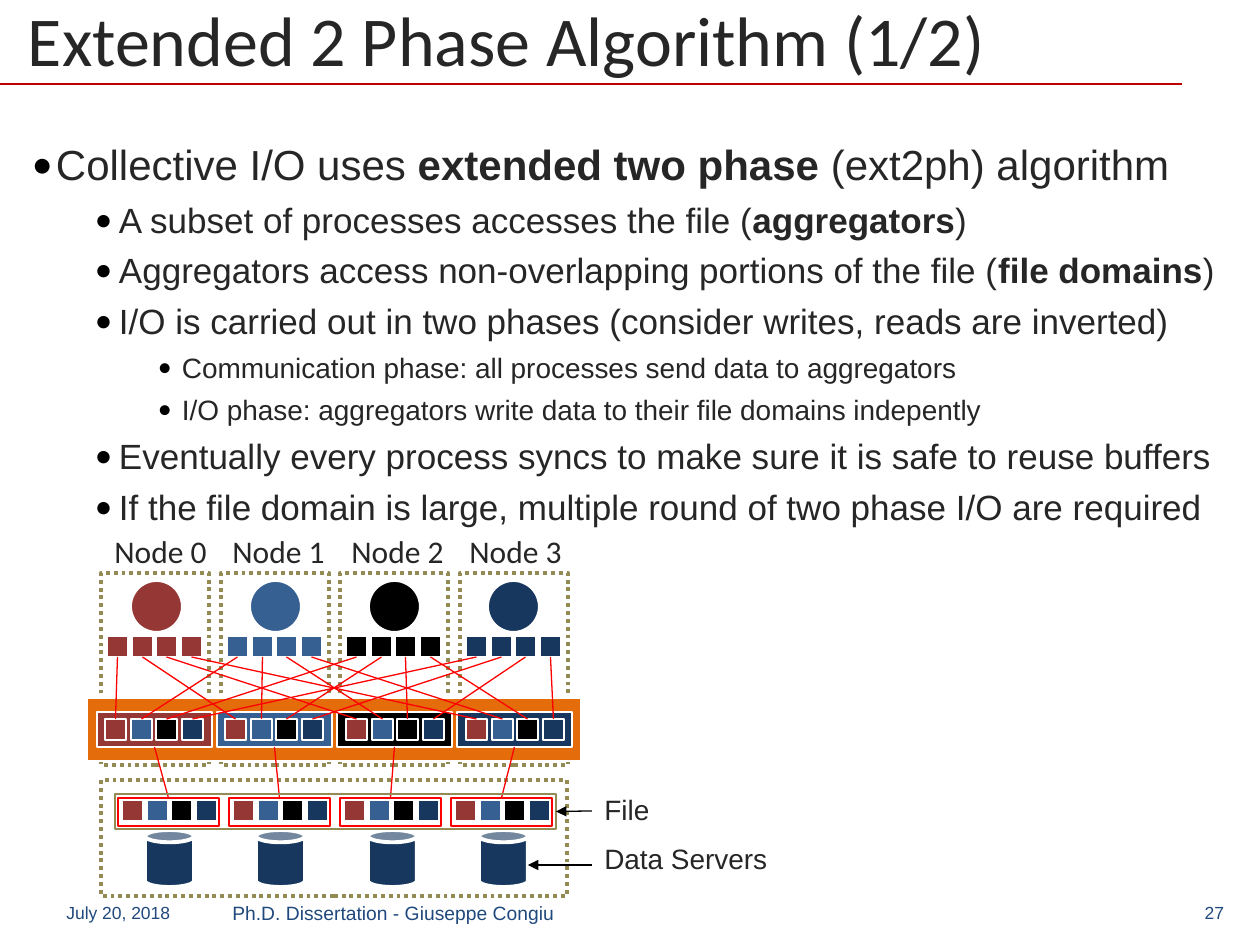
from dataclasses import dataclass

from lxml import etree
from pptx import Presentation
from pptx.dml.color import RGBColor
from pptx.enum.dml import MSO_LINE
from pptx.enum.shapes import MSO_CONNECTOR, MSO_SHAPE
from pptx.enum.text import MSO_ANCHOR, MSO_AUTO_SIZE, PP_ALIGN
from pptx.oxml.ns import qn
from pptx.util import Pt

RECT, OVAL, CAN = MSO_SHAPE.RECTANGLE, MSO_SHAPE.OVAL, MSO_SHAPE.CAN
STRAIGHT = MSO_CONNECTOR.STRAIGHT
DOTTED = MSO_LINE.ROUND_DOT
MIDDLE = MSO_ANCHOR.MIDDLE
GROW = MSO_AUTO_SIZE.SHAPE_TO_FIT_TEXT
RIGHT = PP_ALIGN.RIGHT
TOP_SIDE, BOTTOM_SIDE, RIGHT_SIDE = 0, 2, 3
EMU_PER_PX = 914400 / 126
NODES = 4
CELL = 21


@dataclass(frozen=True)
class Theme:
    ink: str = "262626"
    footer: str = "1F497D"
    rule: str = "C00000"
    frame: str = "948A54"
    band: str = "E46C0A"
    link: str = "FF0000"
    white: str = "FFFFFF"
    black: str = "000000"
    navy: str = "17375E"
    nodes: tuple = ("953735", "376092", "000000", "17375E")
    title_size: int = 40
    level_sizes: tuple = (24, 20, 16)
    node_size: int = 18
    label_size: int = 16
    footer_size: int = 11
    small_size: int = 10
    heading_font: str = "Calibri"
    body_font: str = "Arial"


THEME = Theme()

BULLETS = [
    (0, ["Collective I/O uses ", "extended two phase ", "(ext2ph) algorithm"]),
    (1, ["A subset of processes accesses the file (", "aggregators", ")"]),
    (1, ["Aggregators access non-overlapping portions of the file (", "file domains", ")"]),
    (1, ["I/O is carried out in two phases (consider writes, reads are inverted)"]),
    (2, ["Communication phase: all processes send data to aggregators"]),
    (2, ["I/O phase: aggregators write data to their file domains indepently"]),
    (1, ["Eventually every process syncs to make sure it is safe to reuse buffers"]),
    (1, ["If the file domain is large, multiple round of two phase I/O are required"]),
]


def px(length):
    return round(length * EMU_PER_PX)


def spread(first, last, count=NODES):
    """Whole-pixel positions at equal gaps from first to last."""
    return [round(first + (last - first) * i / (count - 1)) for i in range(count)]


@dataclass(frozen=True)
class Box:
    left: int
    top: int
    width: int
    height: int

    def inside(self, left, top, width, height):
        return Box(self.left + left, self.top + top, width, height)

    def emu(self):
        return [px(n) for n in (self.left, self.top, self.width, self.height)]


def set_all(target, values):
    for name, value in values.items():
        setattr(target, name, value)


def style_font(font, size, color=THEME.ink, name=THEME.body_font, bold=False):
    set_all(font, {"size": Pt(size), "name": name, "bold": bold})
    font.color.rgb = RGBColor.from_string(color)


def style_line(line, color, weight):
    line.color.rgb = RGBColor.from_string(color)
    line.width = Pt(weight)


def add_outline(page, kind, box, color, weight, fill=None, dash=None):
    shape = page.shapes.add_shape(kind, *box.emu())
    shape.shadow.inherit = False
    if fill:
        shape.fill.solid()
        shape.fill.fore_color.rgb = RGBColor.from_string(fill)
    else:
        shape.fill.background()
    style_line(shape.line, color, weight)
    if dash:
        shape.line.dash_style = dash
    return shape


def add_line(page, start, end, color, weight, arrow=False):
    line = page.shapes.add_connector(STRAIGHT, *[px(n) for n in (*start, *end)])
    style_line(line.line, color, weight)
    if arrow:
        etree.SubElement(line.line._get_or_add_ln(), qn("a:tailEnd"), type="triangle")
    etree.SubElement(line._element.spPr, qn("a:effectLst"))
    return line


def add_link(page, upper, lower):
    line = add_line(page, (0, 0), (0, 0), THEME.link, 0.75)
    line.begin_connect(upper, BOTTOM_SIDE)
    line.end_connect(lower, TOP_SIDE)


def add_frame(page, box, flush=False, **values):
    frame = page.shapes.add_textbox(*box.emu()).text_frame
    if flush:
        sides = ("left", "right", "top", "bottom")
        set_all(frame, {f"margin_{side}": 0 for side in sides})
    set_all(frame, {"word_wrap": True, **values})
    return frame


def add_text(page, box, text, size, color=THEME.ink, name=THEME.body_font, **values):
    frame = add_frame(page, box, **values)
    para = frame.paragraphs[0]
    span = para.add_run()
    span.text = text
    style_font(span.font, size, color, name)
    return para


def add_bullet(para, level):
    properties = para._p.get_or_add_pPr()
    properties.set("marL", str(px(24 + 63 * level)))
    properties.set("indent", str(px(-24)))
    color = etree.SubElement(properties, qn("a:buClr"))
    etree.SubElement(color, qn("a:srgbClr"), val=THEME.black)
    etree.SubElement(properties, qn("a:buFont"), typeface=THEME.heading_font)
    etree.SubElement(properties, qn("a:buChar"), char="•")


def add_header(page, box):
    baseline = box.top + box.height
    add_line(page, (box.left, baseline), (box.left + box.width, baseline), THEME.rule, 1)
    title = add_text(page, box.inside(28, 6, 1208, 82), "Extended 2 Phase Algorithm (1/2)",
                     THEME.title_size, name=THEME.heading_font, flush=True)
    title.line_spacing = 0.9


def add_body(page, box):
    frame = add_frame(page, box, flush=True)
    for i, (level, pieces) in enumerate(BULLETS):
        para = frame.add_paragraph() if i else frame.paragraphs[0]
        add_bullet(para, level)
        set_all(para, {"level": level, "space_before": Pt(5 if i else 0)})
        for j, piece in enumerate(pieces):
            span = para.add_run()
            span.text = piece
            style_font(span.font, THEME.level_sizes[level], bold=j % 2 == 1)


def add_cells(page, box, colors):
    """A row of four data cells spread over the box."""
    lefts = spread(0, box.width - CELL)
    return [add_outline(page, RECT, box.inside(left, 0, CELL, CELL), THEME.white, 1.5, color)
            for left, color in zip(lefts, colors)]


def add_nodes(page, box):
    """Compute nodes with their processes; returns the aggregator buffers."""
    for left in spread(14, 373):
        add_outline(page, RECT, box.inside(left, 47, 108, 192), THEME.frame, 2.25, dash=DOTTED)
    add_outline(page, RECT, box.inside(0, 172, box.width, 63), THEME.white, 1.5, THEME.band)
    lefts = zip(spread(10, 370), spread(43, 400), spread(20, 379), spread(18, 379), spread(15, 370))
    buffers, sent, received = [], [], []
    for i, (buffer, process, data, slot, label) in enumerate(lefts):
        color = THEME.nodes[i]
        buffers.append(add_outline(page, RECT, box.inside(buffer, 186, 115, 35),
                                   THEME.white, 1.5, color))
        add_outline(page, OVAL, box.inside(process, 54, 53, 53), THEME.white, 2.25, color)
        sent.append(add_cells(page, box.inside(data, 110, 95, CELL), [color] * NODES))
        received.append(add_cells(page, box.inside(slot, 193, 98, CELL), THEME.nodes))
        add_text(page, box.inside(label, 0, 118, 50), f"Node {i}", THEME.node_size,
                 name=THEME.heading_font, auto_size=GROW)
    for i, row in enumerate(sent):
        for j, cell in enumerate(row):
            add_link(page, cell, received[j][i])
    return buffers


def add_storage(page, box, buffers):
    """The shared file over its data servers, with links from the buffers."""
    add_outline(page, RECT, box, THEME.frame, 2.25, dash=DOTTED)
    lefts = zip(buffers, spread(44, 378), spread(21, 354), spread(17, 350))
    for buffer, server, data, segment in lefts:
        add_outline(page, CAN, box.inside(server, 50, 49, 57), THEME.white, 2.25, THEME.navy)
        add_cells(page, box.inside(data, 20, 95, CELL), THEME.nodes)
        domain = add_outline(page, RECT, box.inside(segment, 18, 101, 28), THEME.link, 1)
        add_link(page, buffer, domain)
    return add_outline(page, RECT, box.inside(14, 14, 441, 35), THEME.frame, 0.75)


def add_callouts(page, box, file_outline):
    labels = [("File", 0, 71, 25, -35), ("Data Servers", 49, 190, 79, -64)]
    arrows = []
    for text, top, width, level, tip in labels:
        add_text(page, box.inside(0, top, width, 47), text, THEME.label_size,
                 word_wrap=False, auto_size=GROW)
        y = box.top + level
        arrows.append(add_line(page, (box.left, y), (box.left + tip, y),
                               THEME.black, 0.75, arrow=True))
    arrows[0].end_connect(file_outline, RIGHT_SIDE)


def add_footer(page, box):
    parts = [
        ("July 20, 2018", 0, 154, THEME.small_size, False),
        ("Ph.D. Dissertation - Giuseppe Congiu", 166, 806, THEME.footer_size, False),
        ("27", 984, 186, THEME.small_size, True),
    ]
    for text, left, width, size, is_number in parts:
        para = add_text(page, box.inside(left, 0, width, box.height), text, size,
                        THEME.footer, flush=is_number, vertical_anchor=MIDDLE)
        if is_number:
            para.alignment = RIGHT


def main():
    deck = Presentation()
    set_all(deck, {"slide_width": px(1260), "slide_height": px(945)})
    page = deck.slides.add_slide(deck.slide_layouts[6])
    add_header(page, Box(0, 0, 1182, 84))
    add_body(page, Box(32, 139, 1197, 380))
    buffers = add_nodes(page, Box(87, 526, 494, 239))
    file_outline = add_storage(page, Box(101, 780, 466, 116), buffers)
    add_callouts(page, Box(592, 786, 190, 96), file_outline)
    add_footer(page, Box(54, 890, 1170, 45))
    deck.save("out.pptx")


if __name__ == "__main__":
    main()
